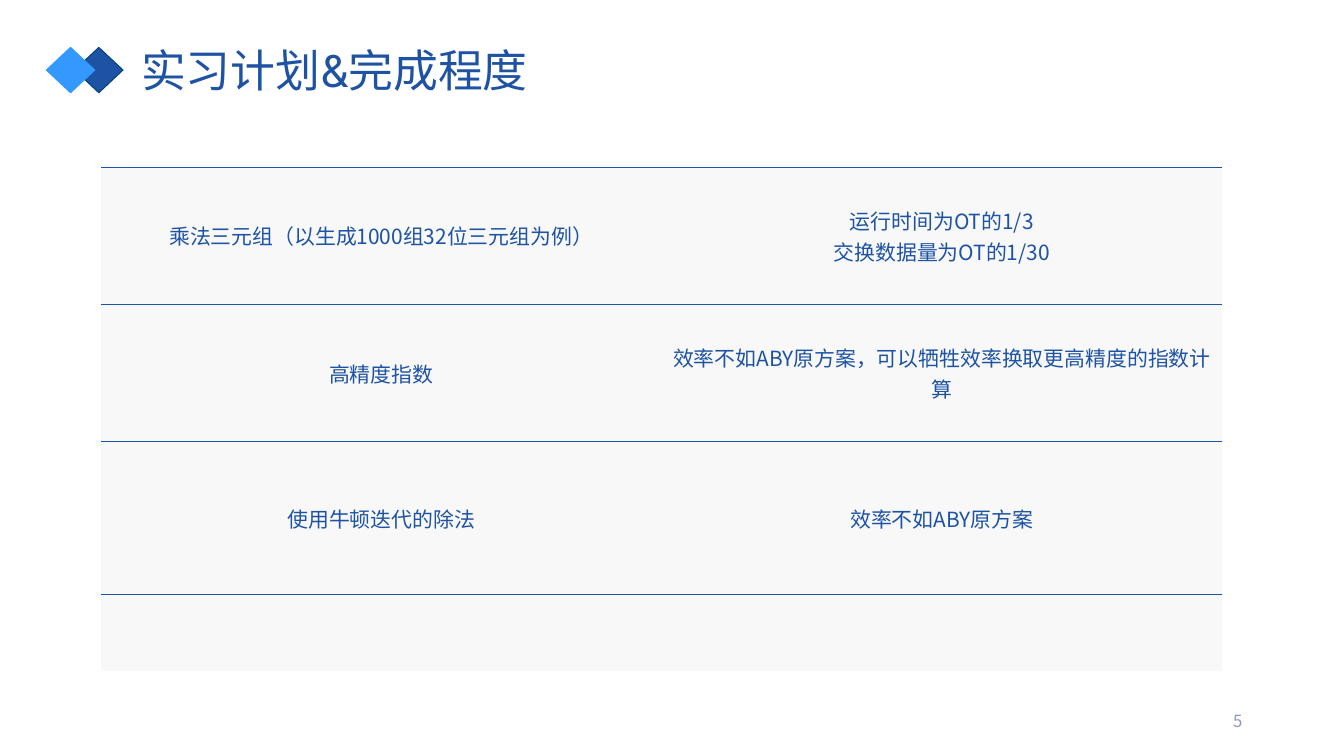
from pptx import Presentation
from pptx.dml.color import RGBColor
from pptx.enum.shapes import MSO_SHAPE
from pptx.enum.text import MSO_ANCHOR, PP_ALIGN
from pptx.oxml.ns import qn
from pptx.util import Inches, Pt
from lxml.etree import SubElement

BLUE = "1E53A4"
SKY = "3399FF"
NAVY = "00447E"
PALE = "F8F8F8"
MUTED = "8D99C0"
CJK_FONT = "Noto Sans CJK SC"

PLAN_ROWS = [
    (1.36, "乘法三元组（以生成1000组32位三元组为例）", "运行时间为OT的1/3\n交换数据量为OT的1/30"),
    (1.36, "高精度指数", "效率不如ABY原方案，可以牺牲效率换取更高精度的指数计算"),
    (1.52, "使用牛顿迭代的除法", "效率不如ABY原方案"),
    (0.76, "", ""),
]


def color(hex_value):
    return RGBColor.from_string(hex_value)


def format_text(frame, size, hex_value, align, latin=CJK_FONT):
    for paragraph in frame.paragraphs:
        paragraph.alignment = align
        for run in paragraph.runs:
            run.font.size = Pt(size)
            run.font.name = latin
            run.font.color.rgb = color(hex_value)
            SubElement(run.font._element, qn("a:ea"), typeface=CJK_FONT)


def add_diamond(slide, left, fill, line):
    diamond = slide.shapes.add_shape(
        MSO_SHAPE.DIAMOND, Inches(left), Inches(0.47), Inches(0.48), Inches(0.45))
    diamond.shadow.inherit = False
    diamond.fill.solid()
    diamond.fill.fore_color.rgb = color(fill)
    diamond.line.color.rgb = color(line)
    diamond.line.width = Pt(0.75)


def add_label(slide, box, text, size, hex_value, align, latin=CJK_FONT):
    label = slide.shapes.add_textbox(*map(Inches, box))
    frame = label.text_frame
    frame.word_wrap = True
    frame.vertical_anchor = MSO_ANCHOR.MIDDLE
    frame.text = text
    format_text(frame, size, hex_value, align, latin)
    return frame


def set_border(cell, side, hex_value=None):
    properties = cell._tc.get_or_add_tcPr()
    border = SubElement(properties, qn(f"a:ln{side}"), w=str(Pt(1)))
    if hex_value:
        fill = SubElement(border, qn("a:solidFill"))
        SubElement(fill, qn("a:srgbClr"), val=hex_value)
    else:
        SubElement(border, qn("a:noFill"))


def fill_cell(cell, text, is_last):
    for side in "LR":
        set_border(cell, side)
    set_border(cell, "T", BLUE)
    set_border(cell, "B", None if is_last else BLUE)
    cell.fill.solid()
    cell.fill.fore_color.rgb = color(PALE)
    cell.vertical_anchor = MSO_ANCHOR.MIDDLE
    cell.text = text
    format_text(cell.text_frame, 14.9, BLUE, PP_ALIGN.CENTER)


def add_plan_table(slide):
    total_height = sum(height for height, *_ in PLAN_ROWS)
    table = slide.shapes.add_table(
        len(PLAN_ROWS), 2, Inches(1), Inches(1.66),
        Inches(11.12), Inches(total_height)).table
    table.first_row = False
    table.horz_banding = False
    for row_index, (height, *texts) in enumerate(PLAN_ROWS):
        table.rows[row_index].height = Inches(height)
        is_last = row_index == len(PLAN_ROWS) - 1
        for column_index, text in enumerate(texts):
            fill_cell(table.cell(row_index, column_index), text, is_last)


def main():
    deck = Presentation()
    deck.slide_width = Inches(13.33)
    deck.slide_height = Inches(7.5)
    slide = deck.slides.add_slide(deck.slide_layouts[6])

    add_diamond(slide, 0.74, BLUE, NAVY)
    add_diamond(slide, 0.46, SKY, SKY)
    title = add_label(slide, (1.4, 0.48, 9.18, 0.49), "实习计划&完成程度",
                      32, BLUE, PP_ALIGN.LEFT, "Roboto")
    title.margin_left = title.margin_right = title.margin_top = title.margin_bottom = 0
    title.paragraphs[0].line_spacing = 0.9
    add_label(slide, (9.42, 6.95, 3, 0.4), "5", 12, MUTED, PP_ALIGN.RIGHT)
    add_plan_table(slide)

    deck.save("out.pptx")


if __name__ == "__main__":
    main()
